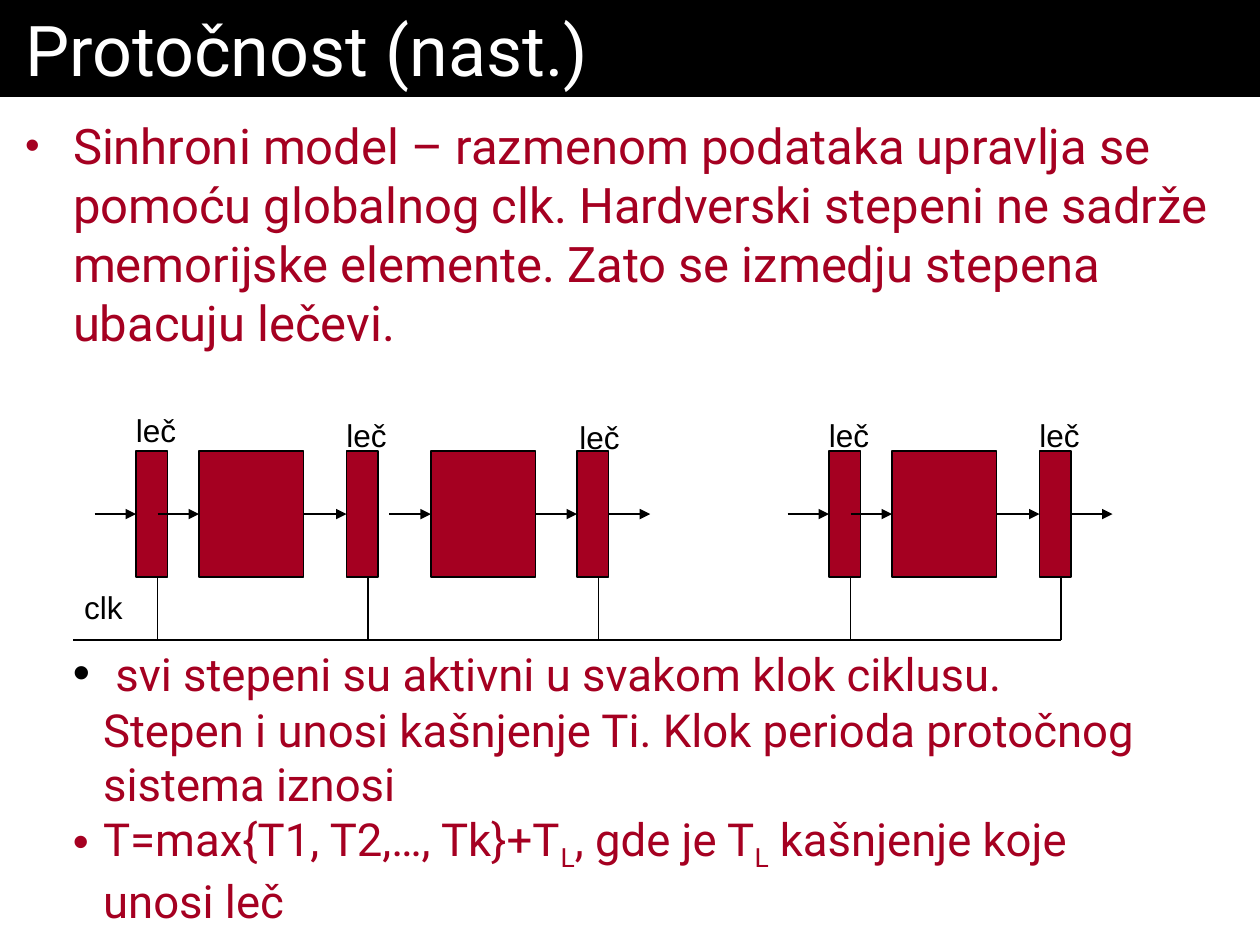
from pptx import Presentation
from pptx.dml.color import RGBColor
from pptx.enum.shapes import MSO_CONNECTOR, MSO_SHAPE
from pptx.enum.text import MSO_ANCHOR, PP_ALIGN
from pptx.oxml.ns import qn
from pptx.util import Inches, Pt
from lxml.etree import SubElement

RED, BLACK, WHITE = "A50021", "000000", "FFFFFF"
TOP, HEIGHT = 3.58, 1
MIDDLE, BOTTOM, CLOCK_Y = TOP + HEIGHT / 2, TOP + HEIGHT, 5.08
STAGE_W, LATCH_W, ARROW = 0.83, 0.25, 0.33
STAGES = [1.58, 3.42, 7.08]
LATCHES = [1.08, 2.75, 4.58, 6.58, 8.25]
CLOCK_TAP = 0.17
LABELS = [(0.98, 3.21), (2.65, 3.25), (4.5, 3.27), (6.48, 3.25), (8.15, 3.25)]
LEFT_SIDE, RIGHT_SIDE = 1, 3


def color(hex_value):
    return RGBColor.from_string(hex_value)


def add_rect(s, x, y, w, h, fill, line=None):
    sp = s.shapes.add_shape(MSO_SHAPE.RECTANGLE, Inches(x), Inches(y), Inches(w), Inches(h))
    sp.shadow.inherit = False
    sp.fill.solid()
    sp.fill.fore_color.rgb = color(fill)
    if line:
        sp.line.color.rgb = color(line)
        sp.line.width = Pt(0.75)
    else:
        sp.line.fill.background()
    return sp


def add_line(s, x1, y1, x2, y2, arrow=False):
    c = s.shapes.add_connector(MSO_CONNECTOR.STRAIGHT, Inches(x1), Inches(y1), Inches(x2), Inches(y2))
    c.line.color.rgb = color(BLACK)
    c.line.width = Pt(0.75)
    if arrow:
        SubElement(c.line._get_or_add_ln(), qn("a:tailEnd"), type="triangle")
    SubElement(c._element.spPr, qn("a:effectLst"))
    return c


def add_text_box(s, x, y, w, h, anchor=MSO_ANCHOR.TOP, wrap=True):
    tf = s.shapes.add_textbox(Inches(x), Inches(y), Inches(w), Inches(h)).text_frame
    tf.word_wrap = wrap
    tf.vertical_anchor = anchor
    return tf


def set_margins(tf, x, y):
    tf.margin_left = tf.margin_right = Inches(x)
    tf.margin_top = tf.margin_bottom = Inches(y)


def format_run(r, size, font, hex_value):
    r.font.size = Pt(size)
    r.font.name = font
    r.font.color.rgb = color(hex_value)


def add_run(p, text, size, hex_value=RED, subscript=False):
    r = p.add_run()
    r.text = text
    format_run(r, size, "Roboto", hex_value)
    if subscript:
        r.font._element.set("baseline", "-25000")


def set_bullet(p, indent, hex_value, percent=100):
    pPr = p._p.get_or_add_pPr()
    pPr.set("marL", str(Inches(indent)))
    pPr.set("indent", str(-Inches(indent)))
    SubElement(SubElement(pPr, qn("a:buClr")), qn("a:srgbClr"), val=hex_value)
    SubElement(pPr, qn("a:buSzPct"), val=str(percent * 1000))
    SubElement(pPr, qn("a:buFont"), typeface="Arial")
    SubElement(pPr, qn("a:buChar"), char="•")


def add_label(s, text, x, y):
    tf = add_text_box(s, x, y, 0.52, 0.4, MSO_ANCHOR.BOTTOM, wrap=False)
    tf.text = text
    format_run(tf.paragraphs[0].runs[0], 18, "Arial", BLACK)


def add_title(s):
    tf = add_rect(s, 0, 0, 10, 0.77, BLACK).text_frame
    set_margins(tf, 0.2, 0.05)
    tf.vertical_anchor = MSO_ANCHOR.MIDDLE
    tf.text = "Protočnost (nast.)"
    p = tf.paragraphs[0]
    p.alignment = PP_ALIGN.LEFT
    format_run(p.runs[0], 40, "Roboto", WHITE)


def add_introduction(s):
    tf = add_text_box(s, 0, 0.77, 10, 6.73)
    set_margins(tf, 0.2, 0.15)
    p = tf.paragraphs[0]
    set_bullet(p, 0.38, RED, 85)
    add_run(p, "Sinhroni model – razmenom podataka upravlja se pomoću globalnog clk. "
               "Hardverski stepeni ne sadrže memorijske elemente. "
               "Zato se izmedju stepena ubacuju lečevi.", 28)


def add_pipeline(s):
    stages = [add_rect(s, x, TOP, STAGE_W, HEIGHT, RED, BLACK) for x in STAGES]
    latches = [add_rect(s, x, TOP, LATCH_W, HEIGHT, RED, BLACK) for x in LATCHES]
    source_stages = {1: stages[0], 2: stages[1], 4: stages[2]}

    for x, stage in zip(STAGES, stages):
        add_line(s, x - ARROW, MIDDLE, x, MIDDLE, arrow=True).end_connect(stage, LEFT_SIDE)
    for i, (x, latch) in enumerate(zip(LATCHES, latches)):
        c = add_line(s, x - ARROW, MIDDLE, x, MIDDLE, arrow=True)
        if i in source_stages:
            c.begin_connect(source_stages[i], RIGHT_SIDE)
        c.end_connect(latch, LEFT_SIDE)
    for i in (2, 4):
        x = LATCHES[i] + LATCH_W
        c = add_line(s, x, MIDDLE, x + ARROW, MIDDLE, arrow=True)
        c.begin_connect(latches[i], RIGHT_SIDE)
    for x, y in LABELS:
        add_label(s, "leč", x, y)


def add_clock(s):
    taps = [x + CLOCK_TAP for x in LATCHES]
    add_line(s, 0.58, CLOCK_Y, taps[-1], CLOCK_Y)
    for x in taps:
        add_line(s, x, BOTTOM, x, CLOCK_Y)
    add_label(s, "clk", 0.57, 4.62)


def add_conclusions(s):
    tf = add_text_box(s, 0.48, 5.11, 8.68, 2.3, MSO_ANCHOR.BOTTOM)
    p = tf.paragraphs[0]
    set_bullet(p, 0.24, BLACK)
    add_run(p, " ", 28, BLACK)
    add_run(p, "svi stepeni su aktivni u svakom klok ciklusu. Stepen i unosi kašnjenje Ti. "
               "Klok perioda protočnog sistema iznosi", 26)
    p = tf.add_paragraph()
    set_bullet(p, 0.24, RED)
    for text in ("T=max{T1, T2,…, Tk}+T", "L", ", gde je T", "L", " kašnjenje koje unosi leč"):
        add_run(p, text, 26, subscript=text == "L")


def main():
    prs = Presentation()
    prs.slide_width, prs.slide_height = Inches(10), Inches(7.5)
    s = prs.slides.add_slide(prs.slide_layouts[6])
    add_title(s)
    add_introduction(s)
    add_pipeline(s)
    add_clock(s)
    add_conclusions(s)
    prs.save("out.pptx")


if __name__ == "__main__":
    main()
